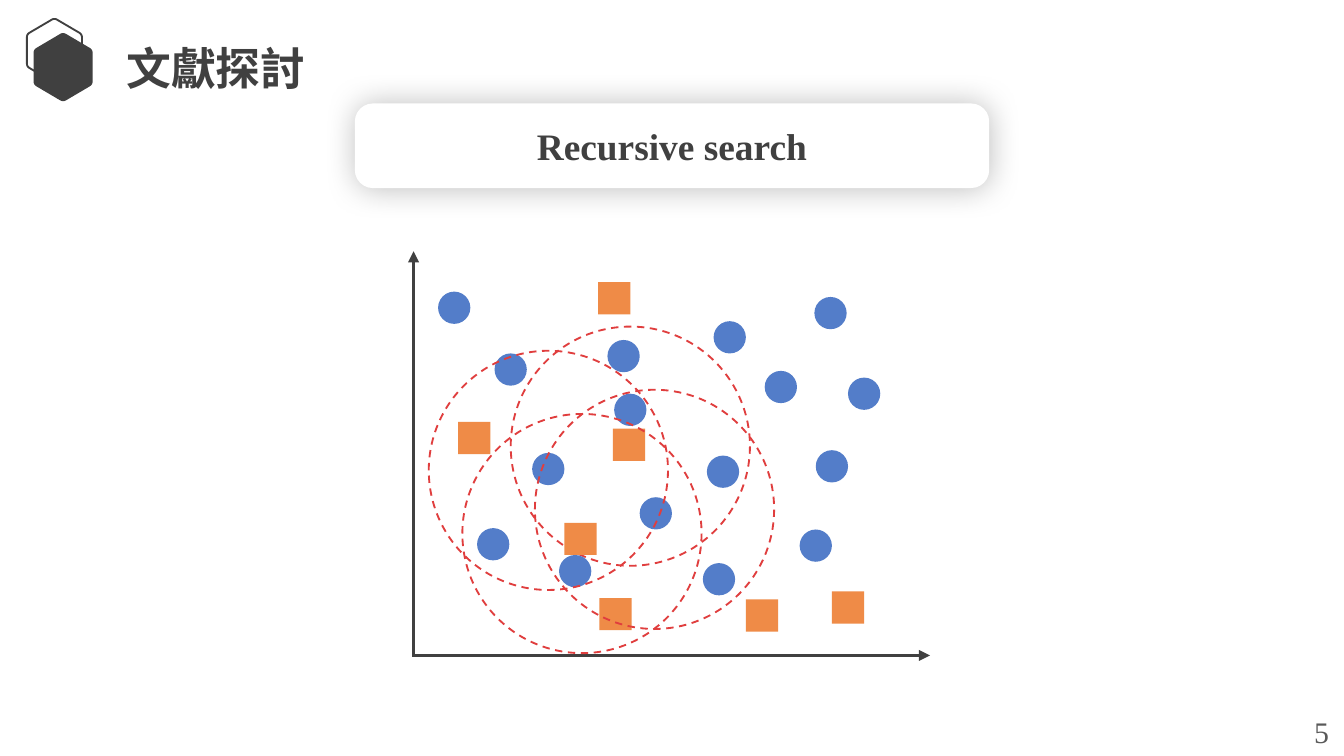
import math

from lxml import etree
from pptx import Presentation
from pptx import util as u
from pptx.dml import color
from pptx.enum import dml, shapes, text
from pptx.oxml import ns

CELL = u.Inches(0.1)
COLUMNS, ROWS = 100, 56.25
FONT = "Times New Roman"
DARK, GREY, WHITE = "404040", "595959", "FFFFFF"
BLUE, ORANGE, RED = "537DC9", "EF8B47", "E03E3E"
MARKER, RING = 2.4, 17.8
OVAL = shapes.MSO_SHAPE.OVAL
SQUARE = shapes.MSO_SHAPE.RECTANGLE

BACK_DOTS = [(39.6, 33.7), (47.6, 37)]
BACK_RINGS = [(38, 24.3)]
DOTS = [
    (41.6, 41.3), (45.7, 29.3), (63.1, 28.1), (45.2, 25.3), (53.1, 23.9),
    (52.6, 33.9), (60.7, 33.5), (60.6, 22.1), (32.6, 21.7), (35.5, 39.3),
    (36.8, 26.3), (59.5, 39.4), (52.3, 41.9), (56.9, 27.6),
]
SQUARES = [
    (45.6, 31.9), (42, 38.9), (34.1, 31.4), (44.6, 44.5), (61.9, 44),
    (55.5, 44.6), (44.5, 21),
]
RINGS = [(34.4, 30.8), (31.9, 26.1), (39.8, 29)]


def rgb(value):
    return color.RGBColor.from_string(value)


def cells(*values):
    return [round(value * CELL) for value in values]


def apply(target, values):
    for name, value in values.items():
        setattr(target, name, value)


def paint(shape, fill=None, line=None, dash=None):
    shape.shadow.inherit = False
    if fill:
        shape.fill.solid()
        shape.fill.fore_color.rgb = rgb(fill)
    else:
        shape.fill.background()
    if line:
        shape.line.color.rgb = rgb(line)
        apply(shape.line, {"width": u.Pt(1), "dash_style": dash})
    else:
        shape.line.fill.background()


def write(shape, words, size, ink, bold=False, align=text.PP_ALIGN.LEFT, **frame):
    apply(shape.text_frame, frame)
    para = shape.text_frame.paragraphs[0]
    para.alignment = align
    span = para.add_run()
    span.text = words
    apply(span.font, {"name": FONT, "size": u.Pt(size), "bold": bold})
    span.font.color.rgb = rgb(ink)


def add_title(page, words):
    title = page.shapes.title
    left, top, width, height = cells(8.7, 2.6, 21.3, 4.8)
    apply(title, {"left": left, "top": top, "width": width, "height": height})
    side, edge = cells(0.7, 0.4)
    write(title, words, 24, DARK, bold=True, word_wrap=True,
          margin_left=side, margin_right=side, margin_top=edge, margin_bottom=edge,
          vertical_anchor=text.MSO_ANCHOR.TOP,
          auto_size=text.MSO_AUTO_SIZE.SHAPE_TO_FIT_TEXT)


def add_page_number(page, words):
    box = page.shapes.add_textbox(*cells(96.8, 52.6, 3.1, 3.7))
    write(box, words, 16, GREY, word_wrap=False,
          auto_size=text.MSO_AUTO_SIZE.SHAPE_TO_FIT_TEXT)


def add_hexagon(page, x, y, half_width, radius, cut=0.1, steps=6, **colours):
    corners = [
        (x + half_width * math.sin(turn) / math.sin(math.pi / 3),
         y - radius * math.cos(turn))
        for turn in (i * math.pi / 3 for i in range(6))
    ]
    points = []
    for i, corner in enumerate(corners):
        before, after = corners[i - 1], corners[(i + 1) % 6]
        for step in range(steps + 1):
            t = step / steps
            points.append(cells(*(
                c + cut * ((1 - t) ** 2 * (b - c) + t ** 2 * (a - c))
                for b, c, a in zip(before, corner, after)
            )))
    builder = page.shapes.build_freeform(*points[0])
    builder.add_line_segments(points[1:], close=True)
    paint(builder.convert_to_shape(), **colours)


def add_heading(page, words):
    card = page.shapes.add_shape(
        shapes.MSO_SHAPE.ROUNDED_RECTANGLE, *cells(26.4, 7.7, 47.2, 6.3))
    card.adjustments[0] = 0.214
    paint(card, WHITE)
    effects = card._element.spPr.find(ns.qn("a:effectLst"))
    shadow = etree.SubElement(effects, ns.qn("a:outerShdw"),
                              blurRad=str(u.Pt(17)), dist="0", dir="0",
                              algn="ctr", rotWithShape="0")
    tint = etree.SubElement(shadow, ns.qn("a:srgbClr"), val="000000")
    etree.SubElement(tint, ns.qn("a:alpha"), val="25000")
    write(card, words, 20, DARK, bold=True, align=text.PP_ALIGN.CENTER,
          word_wrap=True, vertical_anchor=text.MSO_ANCHOR.MIDDLE)


def add_axis(page, start, end):
    axis = page.shapes.add_connector(
        shapes.MSO_CONNECTOR.STRAIGHT, *cells(*start, *end))
    axis.line.color.rgb = rgb(DARK)
    axis.line.width = u.Pt(1.5)
    etree.SubElement(axis.line._get_or_add_ln(), ns.qn("a:tailEnd"), type="triangle")
    etree.SubElement(axis._element.spPr, ns.qn("a:effectLst"))


def add_marks(page, kind, places, size, **colours):
    for left, top in places:
        mark = page.shapes.add_shape(kind, *cells(left, top, size, size))
        paint(mark, **colours)


def add_rings(page, places):
    add_marks(page, OVAL, places, RING, line=RED, dash=dml.MSO_LINE.DASH)


def add_scatter(page):
    add_marks(page, OVAL, BACK_DOTS, MARKER, fill=BLUE)
    add_rings(page, BACK_RINGS)
    add_axis(page, (30.77, 48.77), (69.2, 48.77))
    add_axis(page, (30.77, 48.87), (30.77, 18.7))
    add_marks(page, SQUARE, SQUARES, MARKER, fill=ORANGE)
    add_marks(page, OVAL, DOTS, MARKER, fill=BLUE)
    add_rings(page, RINGS)


def main():
    deck = Presentation()
    deck.slide_width, deck.slide_height = cells(COLUMNS, ROWS)
    page = deck.slides.add_slide(deck.slide_layouts[5])
    add_hexagon(page, 4.05, 3.75, 2.05, 2.4, line=DARK)
    add_hexagon(page, 4.7, 5, 2.2, 2.6, fill=DARK)
    add_title(page, "文獻探討")
    add_page_number(page, "5")
    add_heading(page, "Recursive search")
    add_scatter(page)
    deck.save("out.pptx")


if __name__ == "__main__":
    main()
